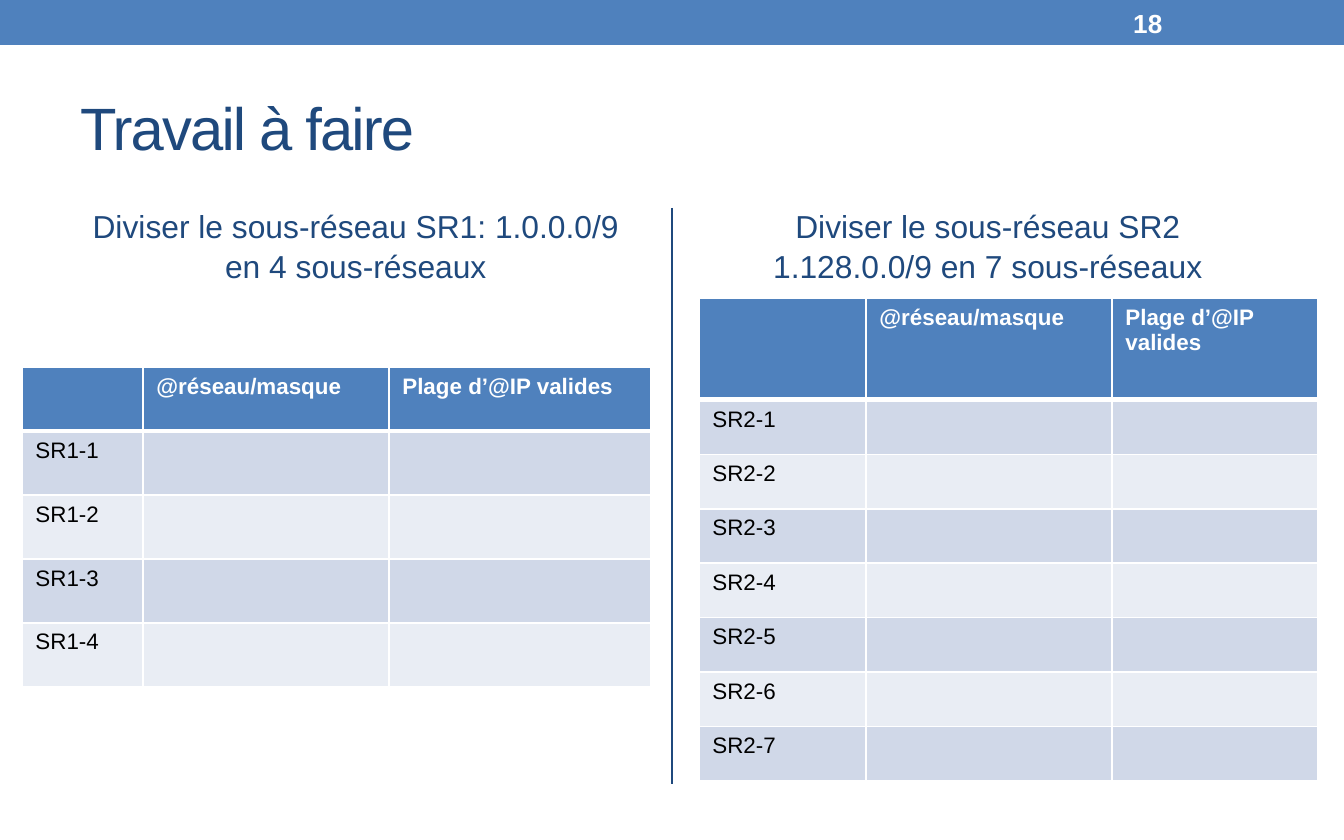
from lxml.etree import SubElement
from pptx import Presentation
from pptx.dml.color import RGBColor
from pptx.enum.shapes import MSO_CONNECTOR, MSO_SHAPE
from pptx.enum.text import MSO_ANCHOR, PP_ALIGN
from pptx.oxml.ns import qn
from pptx.util import Emu, Pt

WHITE = RGBColor(0xFF, 0xFF, 0xFF)
BLACK = RGBColor(0, 0, 0)
NAVY = RGBColor(0x1F, 0x49, 0x7D)
BLUE = RGBColor(0x4F, 0x81, 0xBD)
BANDS = (RGBColor(0xD0, 0xD8, 0xE8), RGBColor(0xE9, 0xED, 0xF4))
FONT = "Arial"
HEADINGS = ("", "@réseau/masque", "Plage d’@IP valides")


def px(pixels):
    return Emu(round(pixels * 914400 / 134.4))


def set_font(para, size, color, bold=False):
    para.font.name = FONT
    para.font.size = Pt(size)
    para.font.bold = bold
    para.font.color.rgb = color


def add_text(page, text, left, top, width, height, size, color, bold=False):
    box = page.shapes.add_textbox(px(left), px(top), px(width), px(height))
    frame = box.text_frame
    frame.word_wrap = True
    frame.vertical_anchor = MSO_ANCHOR.MIDDLE
    para = frame.paragraphs[0]
    para.text = text
    set_font(para, size, color, bold)
    return para


def add_instruction(page, text, left):
    para = add_text(page, text, left, 206, 578, 78, 17, NAVY)
    para.alignment = PP_ALIGN.CENTER
    para.line_spacing = 1.04


def add_top_band(page):
    band = page.shapes.add_shape(MSO_SHAPE.RECTANGLE, 0, 0, px(1344), px(45))
    band.shadow.inherit = False
    band.fill.solid()
    band.fill.fore_color.rgb = BLUE
    band.line.fill.background()


def add_divider(page):
    line = page.shapes.add_connector(
        MSO_CONNECTOR.STRAIGHT, px(672), px(208), px(672), px(784))
    line.line.color.rgb = NAVY
    line.line.width = Pt(1.5)
    SubElement(line._element.spPr, qn("a:effectLst"))


def set_borders(cell, bottom, top):
    properties = cell._tc.get_or_add_tcPr()
    widths = {"a:lnL": 1, "a:lnR": 1, "a:lnT": top, "a:lnB": bottom}
    for index, (tag, width) in enumerate(widths.items()):
        border = SubElement(properties, qn(tag), w=str(Pt(width)))
        fill = SubElement(border, qn("a:solidFill"))
        SubElement(fill, qn("a:srgbClr"), val=str(WHITE))
        # Borders come before the cell fill
        properties.insert(index, border)


def add_subnet_table(page, name, count, left, top, widths, header, height):
    """Heading row, then one row per subnet."""
    table = page.shapes.add_table(
        count + 1, len(widths), px(left), px(top),
        px(sum(widths)), px(header + count * height)).table
    for column, width in zip(table.columns, widths):
        column.width = px(width)
    for r, row in enumerate(table.rows):
        row.height = px(height if r else header)
        texts = (f"{name}-{r}", "", "") if r else HEADINGS
        for cell, text in zip(row.cells, texts):
            cell.fill.solid()
            cell.fill.fore_color.rgb = BANDS[(r - 1) % 2] if r else BLUE
            set_borders(cell, bottom=1 if r else 3, top=3 if r == 1 else 1)
            cell.text = text
            set_font(cell.text_frame.paragraphs[0], 12,
                     BLACK if r else WHITE, bold=r == 0)


def main():
    deck = Presentation()
    deck.slide_width, deck.slide_height = px(1344), px(840)
    page = deck.slides.add_slide(deck.slide_layouts[6])

    # Frame of the page
    add_top_band(page)
    add_divider(page)
    add_text(page, "18", 1120, 3, 157, 40, 14, WHITE, bold=True)

    # Title, with tightened letters
    title = add_text(page, "Travail à faire", 67, 66, 1210, 121, 32, NAVY)
    title.runs[0].font._element.set("spc", "-100")

    # Left exercise
    add_instruction(
        page, "Diviser le sous-réseau SR1: 1.0.0.0/9 en 4 sous-réseaux", 67)
    add_subnet_table(page, "SR1", 4, 22, 367, (121, 246, 262), 64, 64)

    # Right exercise
    add_instruction(
        page, "Diviser le sous-réseau SR2 1.128.0.0/9 en 7 sous-réseaux", 699)
    add_subnet_table(page, "SR2", 7, 699, 298, (167, 246, 206), 102, 54.4)

    deck.save("out.pptx")


main()
